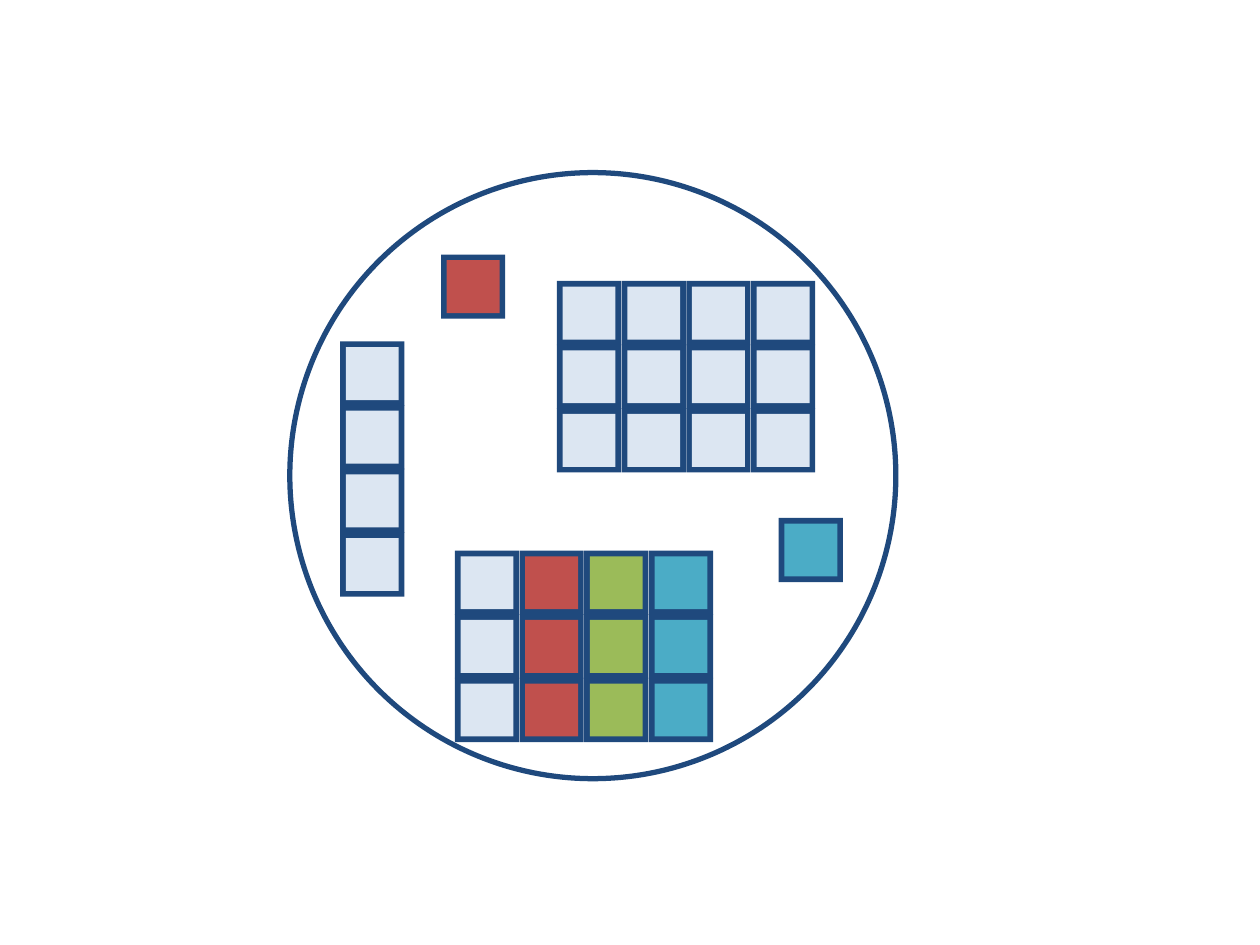
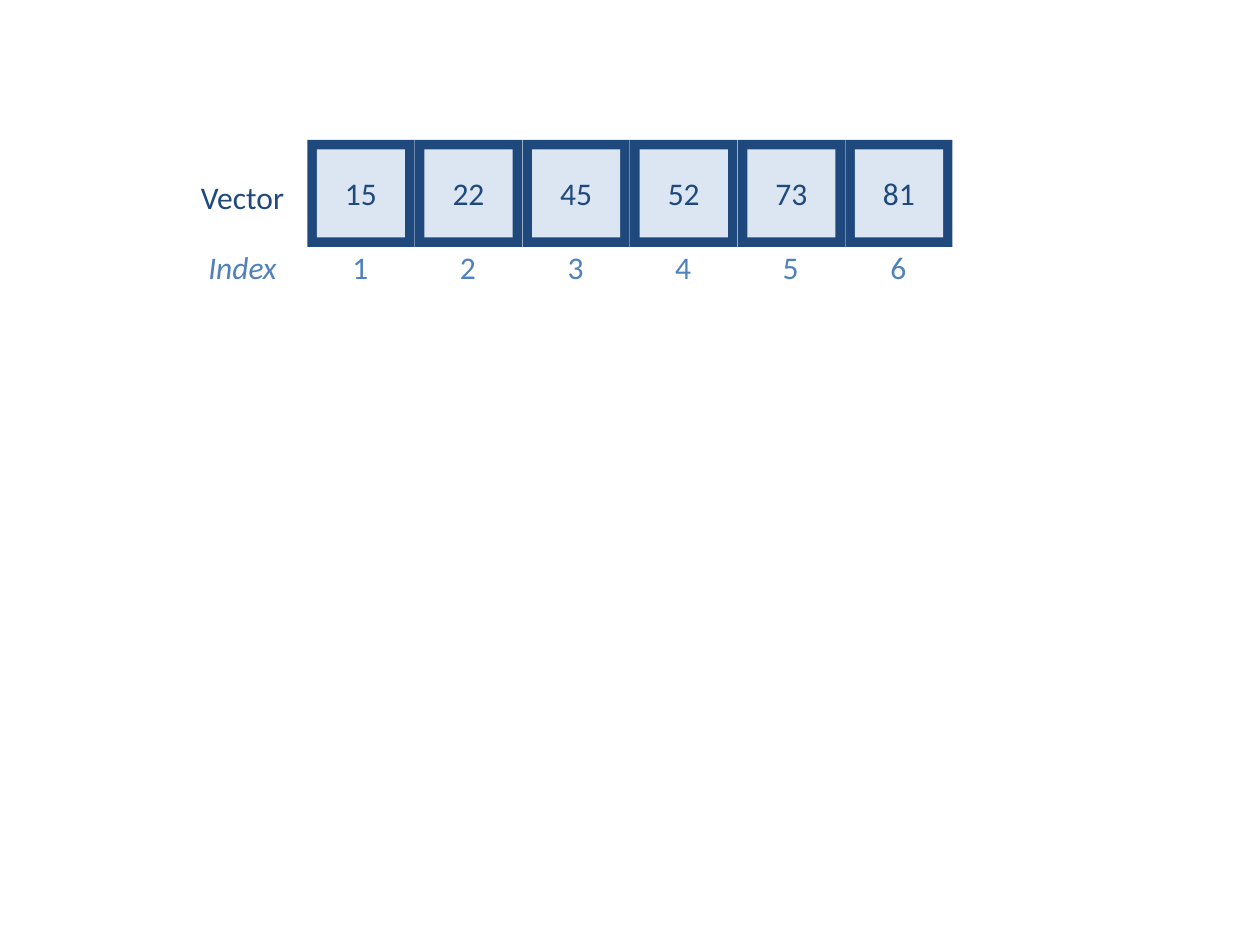
from pptx import Presentation
from pptx.dml.color import RGBColor
from pptx.enum.shapes import MSO_SHAPE
from pptx.enum.text import MSO_ANCHOR, PP_ALIGN
from pptx.util import Inches, Pt

NAVY = RGBColor(0x1F, 0x49, 0x7D)
BLUE = RGBColor(0x4F, 0x81, 0xBD)
PALE = RGBColor(0xDC, 0xE6, 0xF2)
RED = RGBColor(0xC0, 0x50, 0x4D)
GREEN = RGBColor(0x9B, 0xBB, 0x59)
TEAL = RGBColor(0x4B, 0xAC, 0xC6)


def add_cell(shapes, left, top, outer, inner, color):
    """Add a navy square with a coloured square centred in it; return the latter."""
    for size, fill in ((outer, NAVY), (inner, color)):
        inset = (outer - size) / 2
        square = shapes.add_shape(MSO_SHAPE.RECTANGLE, Inches(left + inset),
                                  Inches(top + inset), Inches(size), Inches(size))
        square.shadow.inherit = False
        square.fill.solid()
        square.fill.fore_color.rgb = fill
        square.line.fill.background()
    return square


def write(box, text, color, italic=None):
    """Put one centred line of text in a box."""
    frame = box.text_frame
    frame.word_wrap = True
    frame.vertical_anchor = MSO_ANCHOR.MIDDLE
    para = frame.paragraphs[0]
    para.text = text
    para.alignment = PP_ALIGN.CENTER
    para.font.name = "Calibri"
    para.font.size = Pt(18)
    para.font.italic = italic
    para.font.color.rgb = color


deck = Presentation()
deck.slide_width = Inches(10)
deck.slide_height = Inches(7.5)
blank = deck.slide_layouts[6]

# Slide 1: a circle holding single cells, a column and two grids
page = deck.slides.add_slide(blank)
column_pitch = 1.54 / 3
row_pitch = 1.01 / 2
blocks = [  # left, top, number of rows, colour of each column
    (2.7, 2.71, 4, [PALE]),
    (3.61, 4.37, 3, [PALE, RED, GREEN, TEAL]),
    (4.42, 2.23, 3, [PALE] * 4),
    (6.18, 4.11, 1, [TEAL]),
    (3.5, 2.02, 1, [RED]),
]
for left, top, rows, colors in blocks:
    block = page.shapes.add_group_shape()
    for row in range(rows):
        for column, color in enumerate(colors):
            add_cell(block.shapes, left + column * column_pitch,
                     top + row * row_pitch, 0.51, 0.42, color)

circle = page.shapes.add_shape(MSO_SHAPE.OVAL, Inches(2.3), Inches(1.37),
                               Inches(4.81), Inches(4.81))
circle.shadow.inherit = False
circle.fill.background()
circle.line.color.rgb = NAVY
circle.line.width = Pt(3)

# Slide 2: a vector with its indexes
page = deck.slides.add_slide(blank)
vector_pitch = 4.27 / 5
labels = [(1.39, 1.38, 1.07, "Vector", NAVY, None),
          (1.39, 1.94, 1.07, "Index", BLUE, True)]
for position, value in enumerate([15, 22, 45, 52, 73, 81]):
    left = 2.44 + position * vector_pitch
    cell = add_cell(page.shapes, left, 1.11, 0.85, 0.7, PALE)
    write(cell, str(value), NAVY)
    labels.append((left + 0.07, 1.94, 0.7, str(position + 1), BLUE, None))

for left, top, width, text, color, italic in labels:
    label = page.shapes.add_textbox(Inches(left), Inches(top), Inches(width), Inches(0.36))
    write(label, text, color, italic)

deck.save("out.pptx")
